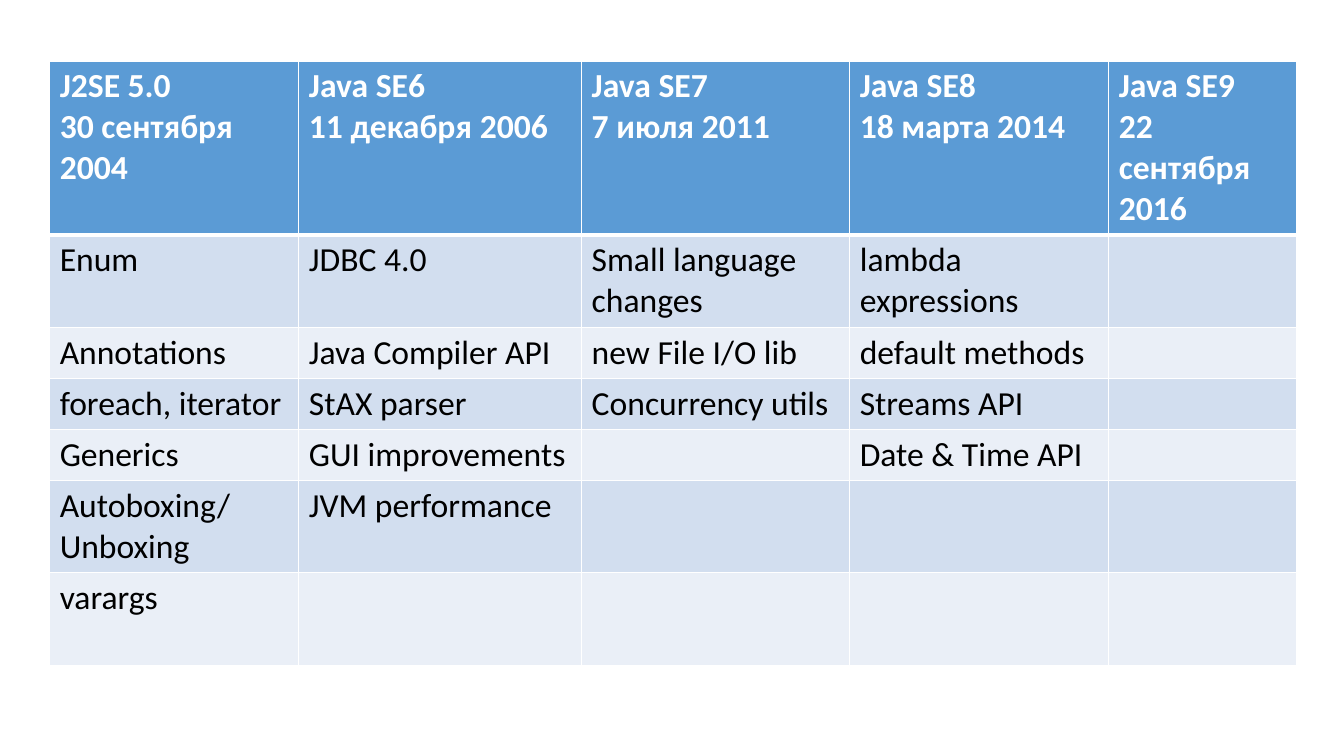
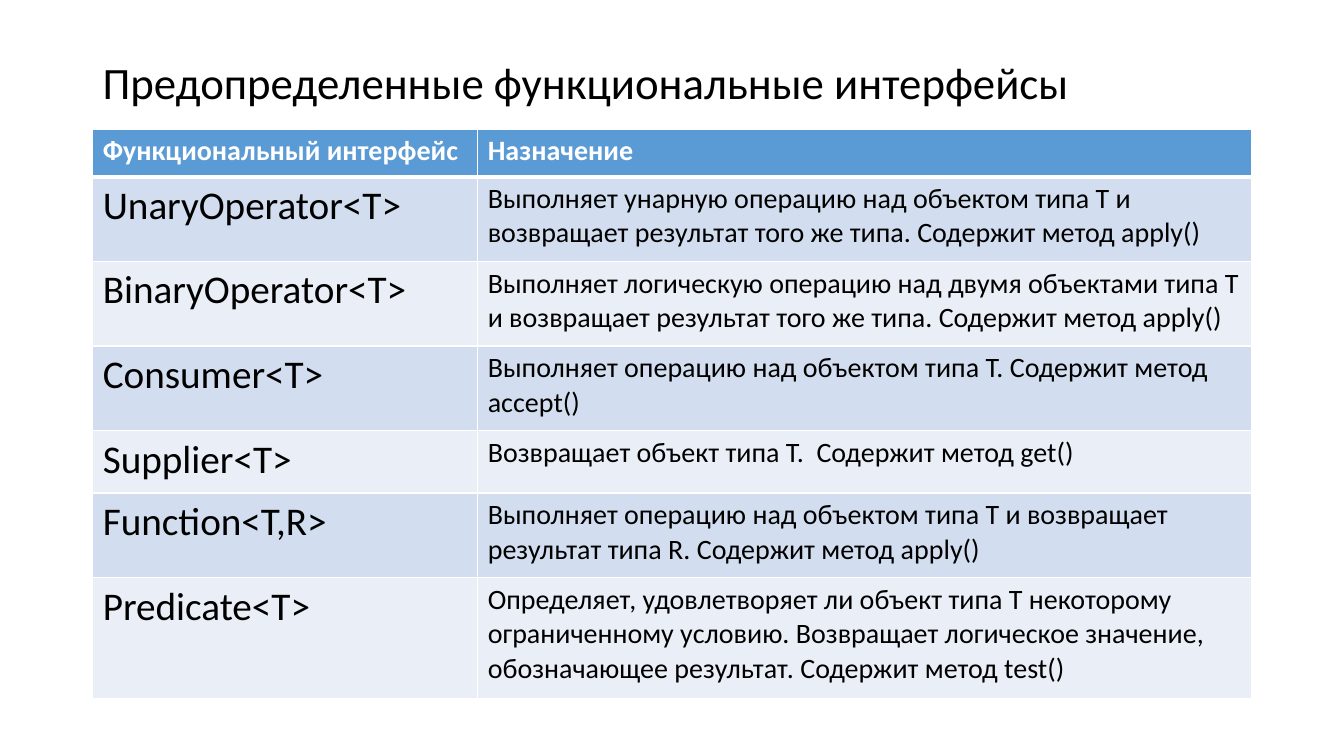
"""Build two table slides about Java versions and functional interfaces."""
from lxml.etree import SubElement
from pptx import Presentation
from pptx.dml.color import RGBColor
from pptx.enum.text import MSO_ANCHOR
from pptx.oxml.ns import qn
from pptx.util import Pt

WHITE = RGBColor(0xFF, 0xFF, 0xFF)
BLACK = RGBColor(0, 0, 0)
BLUE = RGBColor(0x5B, 0x9B, 0xD5)
BANDS = RGBColor(0xD2, 0xDE, 0xEF), RGBColor(0xEA, 0xEF, 0xF7)
FONT = "Calibri"

TITLE = "Предопределенные функциональные интерфейсы"

RELEASES = [
    ["J2SE 5.0\n30 сентября 2004", "Java SE6\n11 декабря 2006",
     "Java SE7\n7 июля 2011", "Java SE8\n18 марта 2014",
     "Java SE9\n22 сентября 2016"],
    ["Enum", "JDBC 4.0", "Small language changes", "lambda expressions", ""],
    ["Annotations", "Java Compiler API", "new File I/O lib",
     "default methods", ""],
    ["foreach, iterator", "StAX parser", "Concurrency utils",
     "Streams API", ""],
    ["Generics", "GUI improvements", "", "Date & Time API", ""],
    ["Autoboxing/\nUnboxing", "JVM performance", "", "", ""],
    ["varargs", "", "", "", ""],
]

TYPES = [
    ["Функциональный интерфейс", "Назначение"],
    ["UnaryOperator<T>",
     "Выполняет унарную операцию над объектом типа T и возвращает "
     "результат того же типа. Содержит метод apply()"],
    ["BinaryOperator<T>",
     "Выполняет логическую операцию над двумя объектами типа T и "
     "возвращает результат того же типа. Содержит метод apply()"],
    ["Consumer<T>",
     "Выполняет операцию над объектом типа T. Содержит метод accept()"],
    ["Supplier<T>", "Возвращает объект типа T.  Содержит метод get()"],
    ["Function<T,R>",
     "Выполняет операцию над объектом типа Т и возвращает результат "
     "типа R. Содержит метод apply()"],
    ["Predicate<T>",
     "Определяет, удовлетворяет ли объект типа Т некоторому ограниченному "
     "условию. Возвращает логическое значение, обозначающее результат. "
     "Содержит метод test()"],
]


def style(frame, size, color, bold=False):
    """Set one font on every paragraph of a text frame."""
    for para in frame.paragraphs:
        font = para.font
        font.name, font.size, font.bold = FONT, Pt(size), bold
        font.color.rgb = color


def edge(cell, row):
    """Draw white cell borders, thicker beneath the header."""
    props = cell._tc.get_or_add_tcPr()
    for side in "LRTB":
        thick = (row, side) in ((0, "B"), (1, "T"))
        line = SubElement(props, qn(f"a:ln{side}"), w=str(Pt(3 if thick else 1)))
        fill = SubElement(line, qn("a:solidFill"))
        SubElement(fill, qn("a:srgbClr"), val=str(WHITE))


def add_grid(slide, left, top, widths, heights, data, sizes, head):
    """Add a banded table with one body text size per column."""
    shape = slide.shapes.add_table(
        len(data), len(widths), Pt(left), Pt(top),
        Pt(sum(widths)), Pt(sum(heights)))
    table = shape.table
    for col, width in zip(table.columns, widths):
        col.width = Pt(width)
    for row, height in zip(table.rows, heights):
        row.height = Pt(height)
    for i, texts in enumerate(data):
        for j, text in enumerate(texts):
            cell = table.cell(i, j)
            cell.text = text
            edge(cell, i)
            cell.fill.solid()
            cell.fill.fore_color.rgb = BANDS[(i - 1) % 2] if i else BLUE
            if i:
                style(cell.text_frame, sizes[j], BLACK)
            else:
                style(cell.text_frame, head, WHITE, True)


def add_title(slide, text):
    """Add the slide title."""
    box = slide.shapes.add_textbox(Pt(66.25), Pt(28.75), Pt(828), Pt(63.5))
    frame = box.text_frame
    frame.word_wrap = True
    frame.vertical_anchor = MSO_ANCHOR.MIDDLE
    frame.text = text
    frame.paragraphs[0].line_spacing = 0.9
    style(frame, 32, BLACK)


def main():
    """Build and save the deck."""
    deck = Presentation()
    deck.slide_width, deck.slide_height = Pt(960), Pt(540)
    blank = deck.slide_layouts[6]

    slide = deck.slides.add_slide(blank)
    add_grid(slide, 35.5, 43.5, [178, 202, 191.5, 185, 134.5],
             [124, 65.5, 36.5, 36.5, 36.5, 66, 66], RELEASES, [24] * 5, 24)

    slide = deck.slides.add_slide(blank)
    add_title(slide, TITLE)
    add_grid(slide, 66.25, 92.25, [275, 553],
             [34, 60.5, 60.5, 60.5, 44.5, 60.5, 86.5], TYPES, [28, 20], 20)

    deck.save("out.pptx")


if __name__ == "__main__":
    main()
